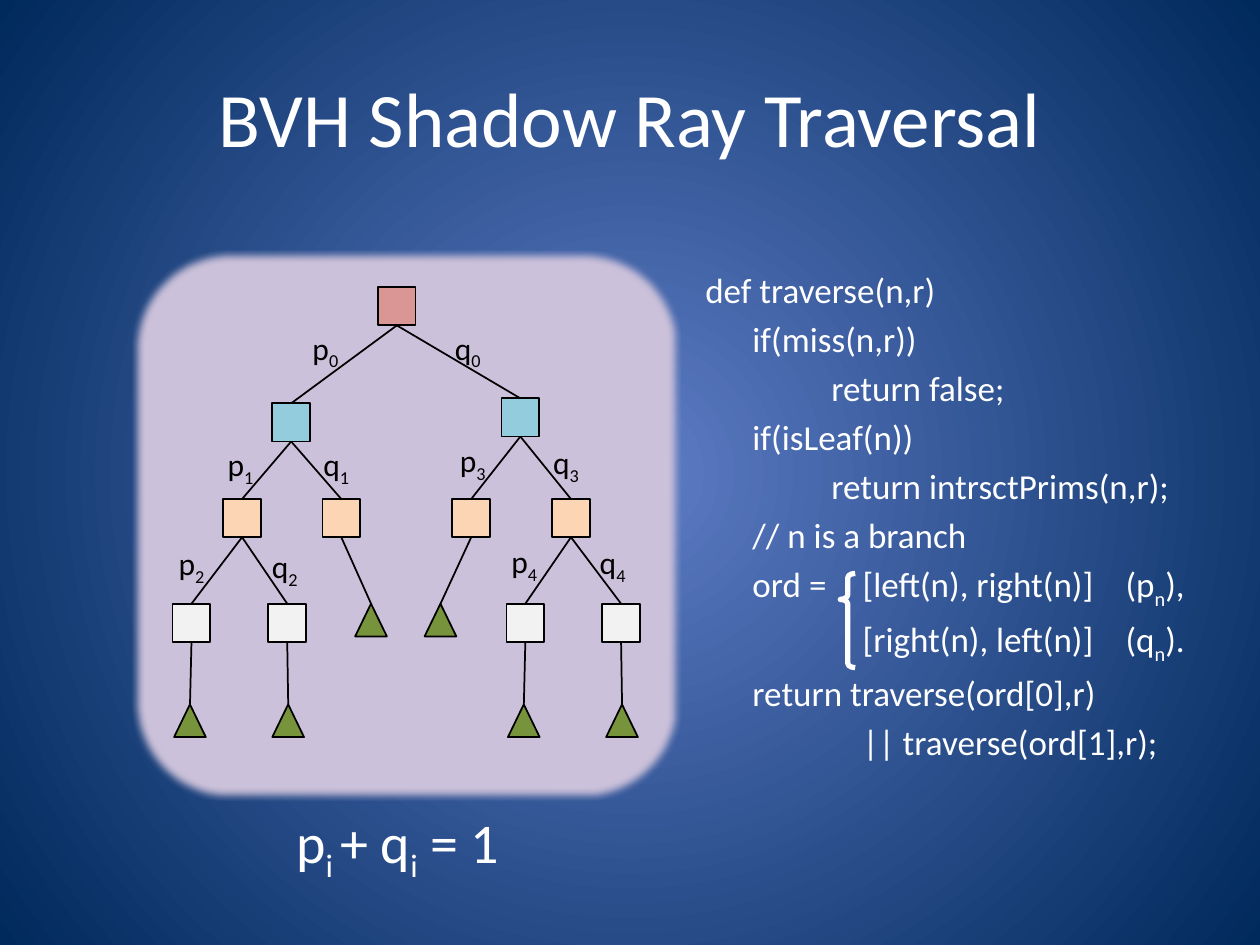
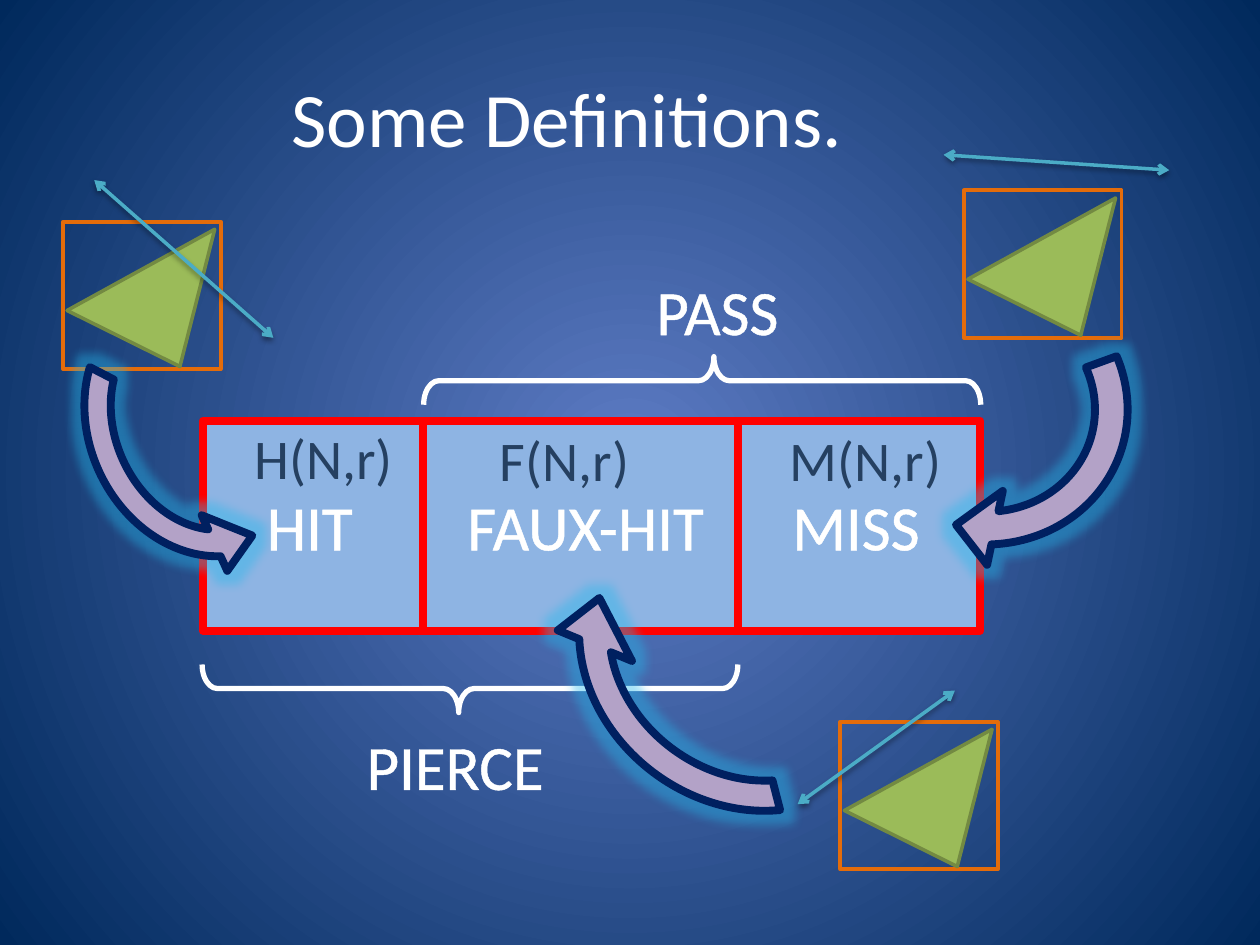
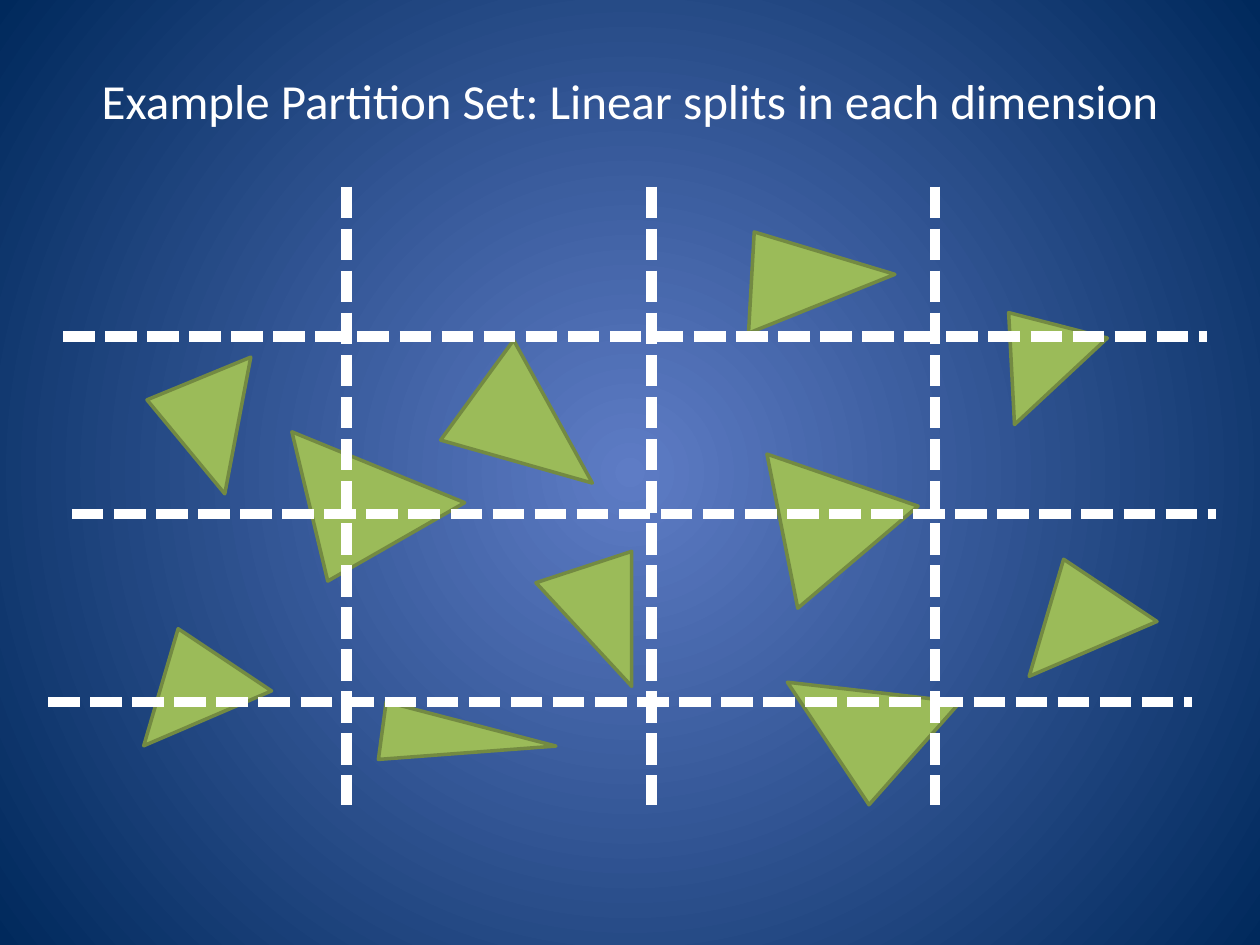
from dataclasses import dataclass

from pptx import Presentation
from pptx.dml.color import RGBColor as RGB
from pptx.enum.dml import MSO_LINE
from pptx.enum.shapes import MSO_CONNECTOR, MSO_SHAPE as SHAPE
from pptx.enum.text import MSO_ANCHOR as ANCHOR, PP_ALIGN as ALIGN
from pptx.oxml import parse_xml
from pptx.oxml.ns import nsdecls
from pptx.util import Cm, Pt


@dataclass(frozen=True)
class Theme:
    font: str = "Calibri"
    white: str = "FFFFFF"
    black: str = "000000"
    center: str = "5E7CC5"
    edge: str = "00295C"
    panel: str = "CCC1DA"
    panel_line: str = "3A5F8C"
    root: str = "D99694"
    branch: str = "93CDDD"
    inner: str = "FCD5B5"
    last: str = "F2F2F2"
    leaf: str = "77933C"
    green: str = "9BBB59"
    green_line: str = "738A42"
    cell: str = "8EB4E3"
    red: str = "FF0000"
    formula: str = "254061"
    bounds: str = "E46C0A"
    ray: str = "4BACC6"
    arrow: str = "B3A2C7"
    arrow_line: str = "002060"
    glow: str = "24B9EC"
    title_size: int = 44
    long_title_size: int = 28
    outcome_size: int = 36
    formula_size: int = 32
    code_size: int = 20
    label_size: int = 18


T = Theme()

GLOW = (f'<a:glow {nsdecls("a")} rad="139700"><a:srgbClr val="{T.glow}">'
        '<a:alpha val="40000"/></a:srgbClr></a:glow>')
SOFT_EDGE = f'<a:softEdge {nsdecls("a")} rad="63500"/>'
RAY_SHADOW = (f'<a:outerShdw {nsdecls("a")} blurRad="40000" dist="20000" '
              f'dir="5400000" rotWithShape="0"><a:srgbClr val="{T.black}">'
              '<a:alpha val="38000"/></a:srgbClr></a:outerShdw>')

# name: (kind, left, top, parent)
NODES = {
    "root": ("root", 7.62, 5.79, None),
    "L": ("branch", 5.49, 8.13, "root"),
    "R": ("branch", 10.11, 8.03, "root"),
    "LL": ("inner", 4.5, 10.06, "L"),
    "LR": ("inner", 6.5, 10.06, "L"),
    "RL": ("inner", 9.12, 10.06, "R"),
    "RR": ("inner", 11.13, 10.06, "R"),
    "LLL": ("last", 3.48, 12.17, "LL"),
    "LLR": ("last", 5.41, 12.17, "LL"),
    "RRL": ("last", 10.21, 12.17, "RR"),
    "RRR": ("last", 12.14, 12.17, "RR"),
    "LR leaf": ("leaf", 7.16, 12.17, "LR"),
    "RL leaf": ("leaf", 8.56, 12.17, "RL"),
    "LLL leaf": ("leaf", 3.51, 14.2, "LLL"),
    "LLR leaf": ("leaf", 5.49, 14.2, "LLR"),
    "RRL leaf": ("leaf", 10.24, 14.2, "RRL"),
    "RRR leaf": ("leaf", 12.22, 14.2, "RRR"),
}
BRANCH_LABELS = [
    ("p_0", 6.05, 6.5), ("q_0", 8.92, 6.5),
    ("p_1", 4.34, 8.84), ("q_1", 6.27, 8.84),
    ("p_2", 3.35, 10.85), ("q_2", 5.23, 10.9),
    ("p_3", 9.02, 8.76), ("q_3", 10.9, 8.81),
    ("p_4", 10.06, 10.8), ("q_4", 11.84, 10.82),
]

CODE_LEFT = 13.97
BODY, NESTED, CASE, CONDITION = 0.95, 2.54, 3.17, 8.47
CODE_HEAD = [
    (0, "def traverse(n,r)"),
    (BODY, "if(miss(n,r))"),
    (NESTED, "return false;"),
    (BODY, "if(isLeaf(n))"),
    (NESTED, "return intrsctPrims(n,r);"),
    (BODY, "// n is a branch"),
    (BODY, "ord ="),
]
CASES = [(0, "[left(n), right(n)]"), (0, "[right(n), left(n)]")]
CONDITIONS = [(0, "(p_n_),"), (0, "(q_n_).")]
CODE_TAIL = [(BODY, "return traverse(ord[0],r)"),
             (CASE, "|| traverse(ord[1],r);")]

OUTCOMES = [("HIT", 5.13, 9.7, 2.74), ("FAUX-HIT", 9.17, 9.7, 5.51),
            ("MISS", 15.72, 9.7, 3.18), ("PIERCE", 7.14, 14.53, 4.65),
            ("PASS", 12.98, 5.36, 3.81)]
FORMULAS = [("H(N,r)", 4.88, 8.41), ("F(N,r)", 9.83, 8.46),
            ("M(N,r)", 15.67, 8.46)]
# bounding box corner, ray start, ray end
RAY_TESTS = [
    ((1.27, 4.47), (1.9, 3.63), (5.51, 6.81)),
    ((16.94, 14.55), (19.25, 13.92), (16.08, 16.21)),
    ((19.43, 3.84), (19.02, 3.12), (23.57, 3.43)),
]
# frame, rotation, flips, adjustments
CURVED_ARROWS = [
    ((0.97, 5.94, 6.17, 5.23), 65.5, ["flipV"],
     [0.102, 10.97, 205.174, 130.975, 0.118]),
    ((16.56, 4.78, 6.45, 6.78), 106.1, [],
     [0.102, 10.97, 202.581, 140.38, 0.118]),
    ((11, 9.8, 7.85, 6.86), 37.2, ["flipH", "flipV"],
     [0.089, 10.97, 196.182, 130.975, 0.118]),
]

# frame, rotation, apex
PRIMITIVES = [
    ((5.66, 8.15, 3.18, 2.97), 330.2, 0.273),
    ((14.63, 4.34, 3.18, 1.85), 338.1, 0.273),
    ((10.41, 11.51, 2.72, 1.93), 270, 0.768),
    ((15.98, 12.8, 2.77, 2.87), 311.6, 0.273),
    ((14.81, 8.79, 3.18, 2.77), 319.7, 0.483),
    ((9.14, 7.01, 3.18, 2.34), 15.8, 0.273),
    ((8.86, 13.21, 1.17, 3.51), 97.7, 0.363),
    ((3.35, 7.24, 2.46, 2.16), 50.4, 0.273),
    ((20.24, 6.4, 2.26, 1.96), 87, 0.273),
    ((3.05, 13.08, 2.46, 2.16), 106.4, 0.273),
    ((20.9, 11.68, 2.46, 2.16), 106.4, 0.273),
]


def set_background(master):
    """Radial gradient on the master, seen on every slide."""
    master.background.fill.solid()
    bg = master.element.xpath(".//p:bgPr")[0]
    stops = "".join(f'<a:gs pos="{pos}"><a:srgbClr val="{color}"/></a:gs>'
                    for pos, color in ((0, T.center), (100000, T.edge)))
    bg.replace(bg[0], parse_xml(
        f'<a:gradFill {nsdecls("a")} rotWithShape="1"><a:gsLst>{stops}</a:gsLst>'
        '<a:path path="circle"><a:fillToRect l="50000" t="50000" r="50000" '
        'b="50000"/></a:path></a:gradFill>'))


def add_effects(s, *effects):
    """Replace the theme shadow by the given effects, or by none."""
    lst = parse_xml(f'<a:effectLst {nsdecls("a")}/>')
    for effect in effects:
        lst.append(parse_xml(effect))
    s.element.spPr.append(lst)


def set_line(s, color, width):
    s.line.color.rgb = RGB.from_string(color)
    s.line.width = Pt(width)


def add_shape(slide, kind, frame, line, width, fill=None, rotation=0, adj=(),
              effects=()):
    s = slide.shapes.add_shape(kind, *map(Cm, frame))
    s.rotation = rotation
    for i, value in enumerate(adj):
        s.adjustments[i] = value
    if fill:
        s.fill.solid()
        s.fill.fore_color.rgb = RGB.from_string(fill)
    else:
        s.fill.background()
    set_line(s, line, width)
    add_effects(s, *effects)
    return s


def add_line(slide, start, end, color, width, effects=()):
    c = slide.shapes.add_connector(MSO_CONNECTOR.STRAIGHT,
                                   *map(Cm, (*start, *end)))
    set_line(c, color, width)
    add_effects(c, *effects)
    return c


def add_runs(p, text, size, color, outline=False):
    """Parts between underscores are subscripts, every second one."""
    fmt = {"name": T.font, "size": Pt(size)}
    for i, part in enumerate(text.split("_")):
        r = p.add_run()
        r.text = part
        for key, value in fmt.items():
            setattr(r.font, key, value)
        r.font.color.rgb = RGB.from_string(color)
        rPr = r.font._element
        if i % 2:
            rPr.set("baseline", "-25000")
        if outline:
            rPr.insert(0, parse_xml(
                f'<a:ln {nsdecls("a")} w="18415"><a:solidFill>'
                f'<a:srgbClr val="{color}"/></a:solidFill></a:ln>'))


def add_text_frame(slide, frame):
    tf = slide.shapes.add_textbox(*map(Cm, frame)).text_frame
    tf.word_wrap = True
    return tf


def add_text(slide, text, frame, size, color=T.white, outline=False):
    tf = add_text_frame(slide, frame)
    add_runs(tf.paragraphs[0], text, size, color, outline)
    return tf


def add_title(slide, text, left=0, top=0.76, width=22.86, size=T.title_size):
    tf = add_text(slide, text, (left, top, width, 3.18), size)
    tf.vertical_anchor = ANCHOR.MIDDLE
    tf.paragraphs[0].alignment = ALIGN.CENTER


def add_brace(slide, frame, rotation=0, adj=(0.318, 0.479)):
    add_shape(slide, SHAPE.LEFT_BRACE, frame, T.white, 3, rotation=rotation, adj=adj)


def add_triangle(slide, frame, rotation, apex):
    add_shape(slide, SHAPE.ISOSCELES_TRIANGLE, frame, T.green_line, 2, T.green,
              rotation, [apex])


def add_tree(slide):
    boxes = {}
    for name, (kind, left, top, parent) in NODES.items():
        if kind == "leaf":
            shape, size = SHAPE.ISOSCELES_TRIANGLE, (0.64, 0.66)
        else:
            shape, size = SHAPE.RECTANGLE, (0.76, 0.77)
        boxes[name] = add_shape(slide, shape, (left, top, *size), T.black, 1,
                                getattr(T, kind))
        if parent:
            c = add_line(slide, (0, 0), (1, 1), T.black, 1)
            c.begin_connect(boxes[parent], 2)
            c.end_connect(boxes[name], 0)
    for text, left, top in BRANCH_LABELS:
        add_text(slide, text, (left, top, 1.35, 1.02), T.label_size, T.black)


def add_code(slide, lines, frame, gap=T.code_size * 0.2):
    """Code lines, each given as (indent, text), gap points apart."""
    tf = add_text_frame(slide, frame)
    for i, (indent, text) in enumerate(lines):
        p = tf.add_paragraph() if i else tf.paragraphs[0]
        p.space_before = Pt(gap if i else 0)
        p._p.get_or_add_pPr().set("marL", str(Cm(indent)))
        add_runs(p, text, T.code_size, T.white)


def add_ray_test(slide, corner, start, end):
    """A bounded triangle and a ray with two heads."""
    x, y = corner
    add_shape(slide, SHAPE.RECTANGLE, (x, y, 3.18, 2.97), T.bounds, 2.25)
    add_triangle(slide, (x + 0.57, y - 0.29, 2.54, 2.79), 26.4, 0.763)
    ray = add_line(slide, start, end, T.ray, 2, [RAY_SHADOW])
    for tag in ("headEnd", "tailEnd"):
        ray.line._get_or_add_ln().append(
            parse_xml(f'<a:{tag} {nsdecls("a")} type="arrow"/>'))


def add_curved_arrow(slide, frame, rotation, flips, adj):
    s = add_shape(slide, SHAPE.CIRCULAR_ARROW, frame, T.arrow_line, 4.5, T.arrow,
                  rotation, adj, [GLOW])
    for flip in flips:
        s.element.spPr.xfrm.set(flip, "1")


def build_traversal(slide):
    add_title(slide, "BVH Shadow Ray Traversal", left=1.27)
    add_shape(slide, SHAPE.ROUNDED_RECTANGLE, (2.64, 5.03, 11.1, 11.13),
              T.panel_line, 1, T.panel, effects=[SOFT_EDGE])
    add_tree(slide)
    add_text(slide, "p_i _+ q_i_ = 1", (5.72, 16.15, 5.08, 1.4), T.formula_size)
    add_code(slide, CODE_HEAD, (CODE_LEFT, 5.28, 10.62, 7.2))
    # the subscripts deepen the condition lines, so the cases are set wider
    cases_top = 11.22
    add_code(slide, CASES, (CODE_LEFT + CASE, cases_top, 5.5, 2.3), gap=7.2)
    add_code(slide, CONDITIONS, (CODE_LEFT + CONDITION, cases_top, 2.3, 2.3))
    add_code(slide, CODE_TAIL, (CODE_LEFT, 13.42, 10.62, 2.2))
    add_brace(slide, (16.94, 11.56, 0.3, 1.9), adj=(0.297, 0.276))


def build_definitions(slide):
    add_title(slide, "Some Definitions.")
    add_brace(slide, (8.99, 8.48, 0.97, 10.8), 270)
    top, height = 8.48, 4.24
    add_shape(slide, SHAPE.RECTANGLE, (4.09, top, 15.67, height), T.red, 4.5, T.cell)
    for x in (8.53, 14.88):
        add_line(slide, (x, top), (x, top + height), T.red, 4.5)
    add_brace(slide, (13.67, 2.06, 0.97, 11.23), 90)
    for text, left, y, width in OUTCOMES:
        add_text(slide, text, (left, y, width, 1.8), T.outcome_size, outline=True)
    for test in RAY_TESTS:
        add_ray_test(slide, *test)
    for arrow in CURVED_ARROWS:
        add_curved_arrow(slide, *arrow)
    for text, left, y in FORMULAS:
        add_text(slide, text, (left, y, 3.73, 1.85), T.formula_size, T.formula)


def build_partition(slide):
    add_title(slide, "Example Partition Set: Linear splits in each dimension",
              top=0.43, width=25.4, size=T.long_title_size)
    for primitive in PRIMITIVES:
        add_triangle(slide, *primitive)
    columns = [((x, 3.76), (x, 16.23)) for x in (6.99, 13.13, 18.85)]
    rows = [((x, y), (x + 23.06, y))
            for x, y in ((1.27, 6.78), (1.45, 10.36), (0.97, 14.15))]
    for start, end in columns + rows:
        split = add_line(slide, start, end, T.white, 6)
        split.line.dash_style = MSO_LINE.SQUARE_DOT


def main():
    prs = Presentation()
    prs.slide_width, prs.slide_height = Cm(25.4), Cm(19.05)
    set_background(prs.slide_master)
    for build in (build_traversal, build_definitions, build_partition):
        build(prs.slides.add_slide(prs.slide_layouts[6]))
    prs.save("out.pptx")


if __name__ == "__main__":
    main()
